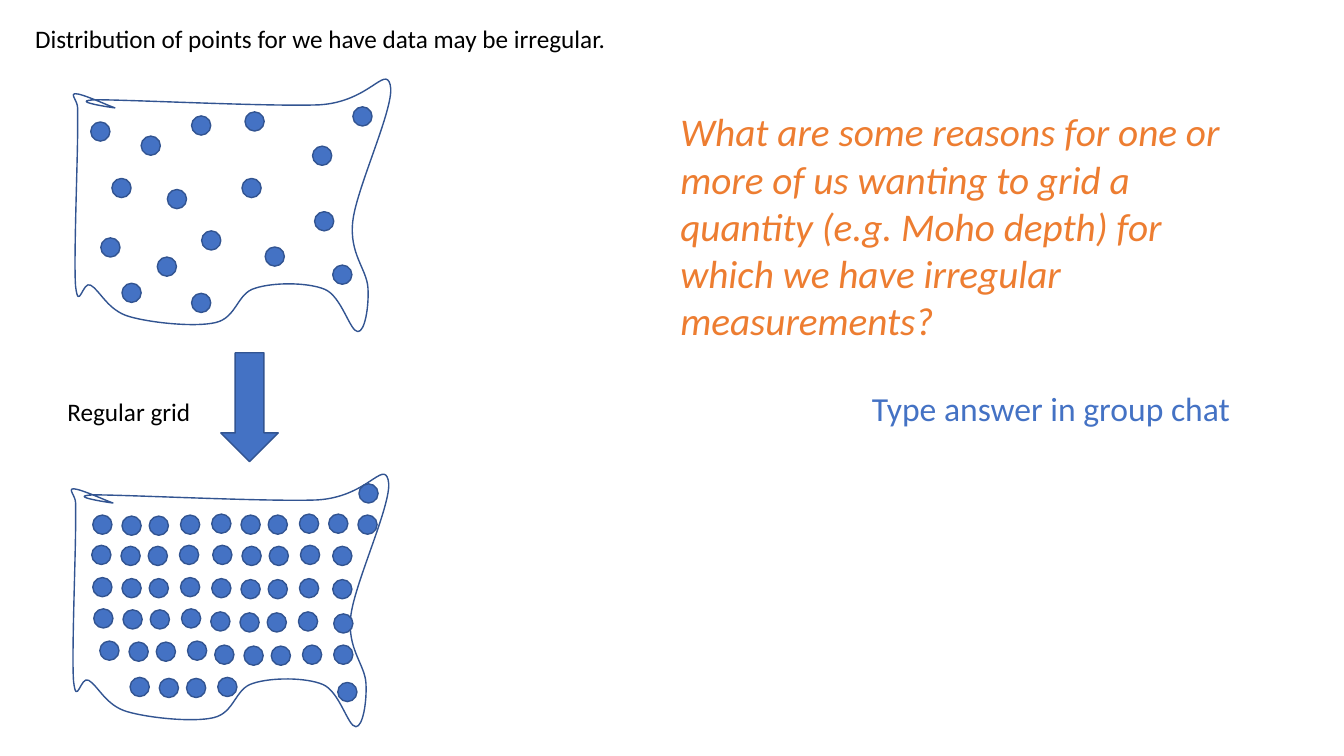
from pptx import Presentation
from pptx.dml.color import RGBColor
from pptx.enum.shapes import MSO_SHAPE
from pptx.enum.text import MSO_AUTO_SIZE
from pptx.oxml.ns import qn
from pptx.util import Inches, Pt

BLUE = RGBColor(0x44, 0x72, 0xC4)
DARK_BLUE = RGBColor(0x32, 0x54, 0x91)
ORANGE = RGBColor(0xED, 0x7D, 0x31)
BLACK = RGBColor(0, 0, 0)

# Content: texts with their box (left, top, width, height) and format
TEXTS = [
    ("Distribution of points for we have data may be irregular.",
     (0.25, 0.18, 12.72, 0.4), dict(size=18, color=BLACK)),
    ("Regular grid", (0.57, 3.88, 12.19, 0.4), dict(size=18, color=BLACK)),
    ("What are some reasons for one or more of us wanting to grid a quantity "
     "(e.g. Moho depth) for which we have irregular measurements?",
     (6.65, 1.02, 5.97, 2.46), dict(size=28, color=ORANGE, italic=True)),
    ("Type answer in group chat",
     (8.55, 3.8, 3.88, 0.5), dict(size=24, color=BLUE)),
]

# Region outline: start point, then Bezier curves (two controls and an end)
REGION_BOX = (0.73, 0.79, 3.15, 2.5)
REGION_START = (0.96, 0.99)
REGION_CURVES = [
    ((1.3, 0.99), (2.69, 1.06), (3.17, 1.04)),
    ((3.66, 1.01), (3.82, 0.65), (3.87, 0.84)),
    ((3.93, 1.03), (3.54, 1.85), (3.5, 2.19)),
    ((3.46, 2.52), (3.64, 2.67), (3.65, 2.86)),
    ((3.66, 3.04), (3.62, 3.29), (3.55, 3.29)),
    ((3.47, 3.29), (3.39, 2.94), (3.22, 2.87)),
    ((3.05, 2.8), (2.71, 2.8), (2.53, 2.86)),
    ((2.35, 2.91), (2.35, 3.15), (2.14, 3.2)),
    ((1.93, 3.25), (1.48, 3.2), (1.28, 3.14)),
    ((1.07, 3.08), (0.99, 2.88), (0.9, 2.83)),
    ((0.82, 2.78), (0.78, 3.1), (0.75, 2.84)),
    ((0.73, 2.59), (0.77, 1.6), (0.77, 1.31)),
    ((0.77, 1.01), (0.77, 1.13), (0.77, 1.07)),
    ((0.77, 1.0), (0.69, 0.93), (0.75, 0.93)),
    ((0.82, 0.93), (1.1, 1.06), (1.14, 1.07)),
    ((1.19, 1.08), (0.63, 1.0), (0.96, 0.99)),
]
GRID_REGION_SHIFT = (-0.02, 3.92)

# Dots: left and top of each
DOT_SIZE = 0.19
IRREGULAR_DOTS = [
    (1.4, 1.35), (1.11, 1.77), (1.56, 2.55), (1.9, 2.91), (2.63, 2.45),
    (0.9, 1.21), (3.3, 2.63), (3.5, 1.06), (3.12, 2.1), (1.21, 2.81),
    (1.0, 2.36), (2.0, 2.29), (2.4, 1.77), (2.43, 1.11), (3.1, 1.45),
    (1.66, 1.88), (1.9, 1.15),
]
# The grid is made of runs of four dots, plus single dots at the right edge
RUN_OFFSETS = [(0, 0), (0.29, 0.01), (0.56, 0.01), (0.87, 0)]
RUN_STARTS = [
    (0.92, 5.11), (2.1, 5.1), (0.91, 5.41), (2.11, 5.41), (0.92, 5.73),
    (2.1, 5.74), (0.93, 6.04), (2.09, 6.07), (0.99, 6.36), (2.13, 6.4),
    (1.29, 6.72),
]
EDGE_DOTS = [
    (3.56, 4.8), (3.26, 5.1), (3.55, 5.11), (3.3, 5.42), (3.3, 5.75),
    (3.31, 6.09), (3.31, 6.4), (3.35, 6.77),
]
ARROW_BOX = (2.19, 3.5, 0.57, 1.08)


def add_text(shapes, text, area, size, color, italic=False):
    box = shapes.add_textbox(*map(Inches, area))
    frame = box.text_frame
    frame.word_wrap = True
    frame.auto_size = MSO_AUTO_SIZE.SHAPE_TO_FIT_TEXT
    span = frame.paragraphs[0].add_run()
    span.text = text
    span.font.name = "Calibri"
    span.font.size = Pt(size)
    span.font.italic = italic
    span.font.color.rgb = color


def style_shape(shape, filled=True):
    shape.shadow.inherit = False
    if filled:
        shape.fill.solid()
        shape.fill.fore_color.rgb = BLUE
    else:
        shape.fill.background()
    shape.line.color.rgb = DARK_BLUE
    shape.line.width = Pt(1)


def bend_lines(outline):
    """Turn each three straight segments into one Bezier curve."""
    geometry = next(outline._element.iter(qn("a:path")))
    lines = geometry.findall(qn("a:lnTo"))
    for first, second, end in zip(lines[::3], lines[1::3], lines[2::3]):
        curve = geometry.makeelement(qn("a:cubicBezTo"))
        first.addprevious(curve)
        for line in (first, second, end):
            curve.append(line[0])
            geometry.remove(line)
    return geometry


def fit_frame(outline, geometry, left, top, width, height):
    """Frame the curve itself, leaving control points free to lie outside."""
    right_shift, down_shift = outline.left - left, outline.top - top
    for point in geometry.iter(qn("a:pt")):
        point.set("x", str(int(point.get("x")) + right_shift))
        point.set("y", str(int(point.get("y")) + down_shift))
    geometry.set("w", str(width))
    geometry.set("h", str(height))
    outline.left, outline.top = left, top
    outline.width, outline.height = width, height


def add_region(page, dots, shift=(0, 0)):
    group = page.shapes.add_group_shape()
    shift_x, shift_y = shift
    points = [REGION_START] + [p for curve in REGION_CURVES for p in curve]
    points = [(Inches(x + shift_x), Inches(y + shift_y)) for x, y in points]
    builder = group.shapes.build_freeform(*points[0], scale=1.0)
    builder.add_line_segments(points[1:], close=True)
    outline = builder.convert_to_shape()
    left, top, width, height = REGION_BOX
    fit_frame(outline, bend_lines(outline),
              *map(Inches, (left + shift_x, top + shift_y, width, height)))
    style_shape(outline, filled=False)
    for dot_left, dot_top in dots:
        style_shape(group.shapes.add_shape(
            MSO_SHAPE.OVAL, Inches(dot_left), Inches(dot_top),
            Inches(DOT_SIZE), Inches(DOT_SIZE)))


def main():
    deck = Presentation()
    deck.slide_width = Inches(13.33)
    deck.slide_height = Inches(7.5)
    page = deck.slides.add_slide(deck.slide_layouts[6])

    # Regions with irregular and gridded dots
    grid_dots = [(x + dx, y + dy)
                 for x, y in RUN_STARTS for dx, dy in RUN_OFFSETS]
    add_region(page, IRREGULAR_DOTS)
    add_region(page, grid_dots + EDGE_DOTS, GRID_REGION_SHIFT)

    # Arrow between the regions
    style_shape(page.shapes.add_shape(
        MSO_SHAPE.DOWN_ARROW, *map(Inches, ARROW_BOX)))

    # Texts
    for text, area, text_format in TEXTS:
        add_text(page.shapes, text, area, **text_format)

    deck.save("out.pptx")


if __name__ == "__main__":
    main()
